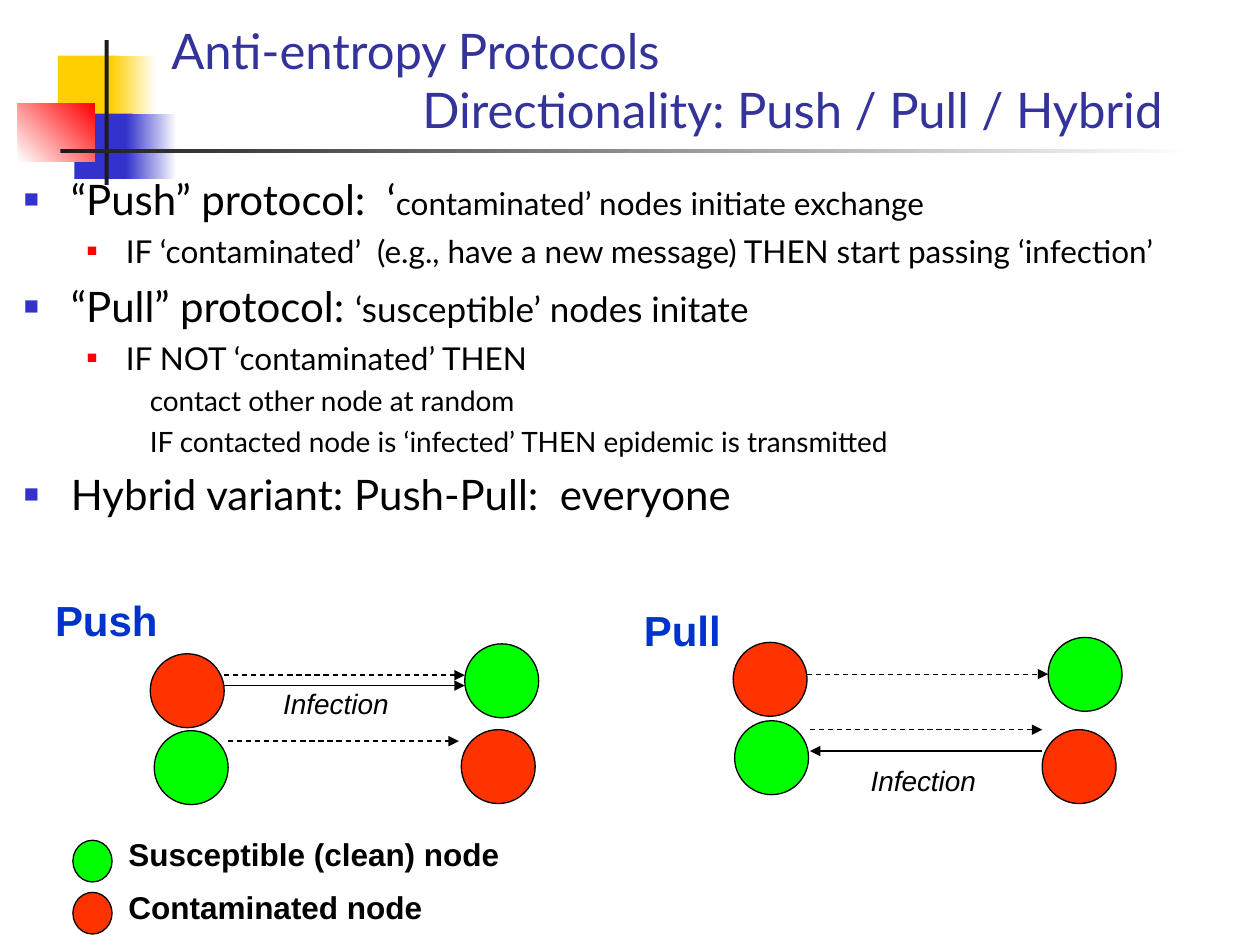
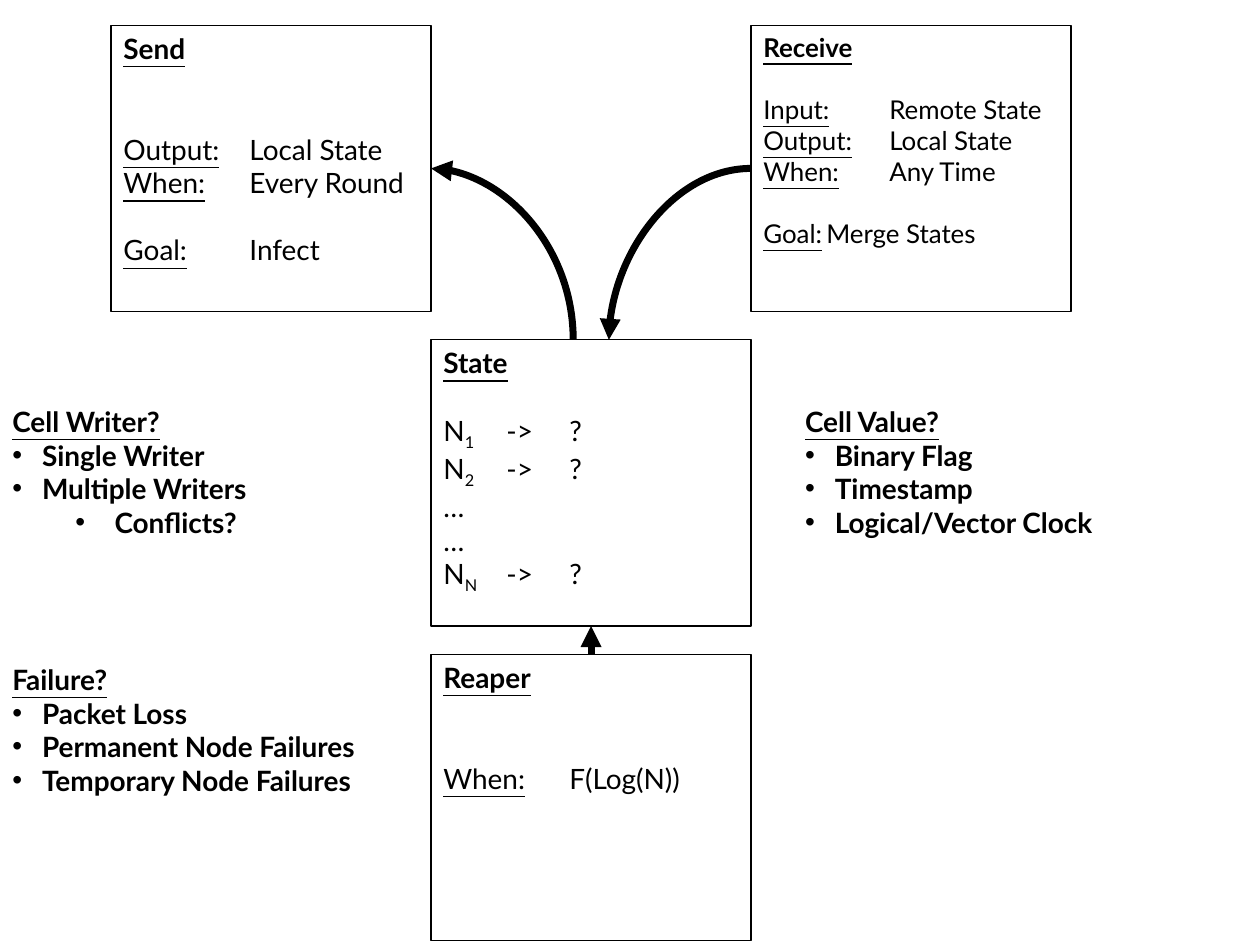
"""Build two slides on push and pull gossip protocols and their state model."""
from lxml import etree
from pptx import Presentation
from pptx import util as u
from pptx.dml.color import RGBColor
from pptx.enum import dml, shapes, text
from pptx.oxml.ns import qn

Cm, Pt = u.Cm, u.Pt
BLACK, WHITE, NAVY, BLUE = "000000", "FFFFFF", "333399", "0033CC"
YELLOW, INDIGO, RED, CHARCOAL = "FFCF01", "3333CC", "FF0000", "1C1C1C"
CLEAN, CONTAMINATED = "00FF00", "FF3300"
HEADING_FONT, DIAGRAM_FONT = "Lato", "Arial"

# Content: left, top, width, height in cm where four numbers are given
EMBLEM = [
    ((1.17, 1.12, 1.22, 1.32), [YELLOW], 0),
    ((2.24, 1.12, 0.91, 1.32), [YELLOW, WHITE], 0),
    ((1.5, 2.29, 1.17, 1.32), [INDIGO], 0),
    ((2.54, 2.29, 1.02, 1.32), [INDIGO, WHITE], 0),
    ((0.36, 2.08, 1.55, 1.17), [WHITE, RED], 45),
    ((2.11, 0.81, 0.08, 2.92), [CHARCOAL], 0),
    ((1.22, 3, 22.86, 0.08), [CHARCOAL, WHITE], 0),
]
TITLE = [("Anti-entropy Protocols", 0),
         ("Directionality: Push / Pull / Hybrid", 5.06)]
PROTOCOLS = [
    (0, [("“Push” protocol:  ‘", 24), ("contaminated’ nodes initiate exchange", 18)]),
    (1, [("IF ‘contaminated’  (e.g., have a new message) THEN start passing ‘infection’", 18)]),
    (0, [("“Pull” protocol: ", 24), ("‘susceptible’ nodes initate", 20)]),
    (1, [("IF NOT ‘contaminated’ THEN", 18)]),
    (2, [("contact other node at random", 16)]),
    (2, [("IF contacted node is ‘infected’ THEN epidemic is transmitted", 16)]),
    (0, [("Hybrid variant: Push-Pull:  everyone", 24)]),
]
LEVELS = [
    dict(margin=0.95, indent=-0.95, mark="■", color=INDIGO, percent=60, before=6),
    dict(margin=2.06, indent=-0.79, mark="■", color=RED, percent=55, before=4.5),
    dict(margin=2.54, indent=0, mark=None, color=None, percent=100, before=4),
]
NODES = [
    (3.03, 13.18, CONTAMINATED), (3.11, 14.73, CLEAN),
    (9.3, 14.71, CONTAMINATED), (9.37, 12.98, CLEAN),
    (14.78, 12.95, CONTAMINATED), (21.13, 12.85, CLEAN),
    (21.01, 14.71, CONTAMINATED), (14.81, 14.53, CLEAN),
]
MESSAGES = [
    (4.52, 9.37, 13.82, False), (4.52, 9.37, 13.61, True), (4.6, 9.25, 14.94, True),
    (16.26, 21.13, 13.59, True), (16.33, 21.01, 14.71, True), (21.01, 16.33, 15.14, False),
]
EXCHANGES = [("Push", 0.86, 11.86), ("Pull", 12.73, 12.07)]
INFECTIONS = [(5.46, 13.72), (17.3, 15.27)]
LEGEND = [("Susceptible (clean) node", CLEAN), ("Contaminated node", CONTAMINATED)]


def cell_row(index):
    """Return the runs of one row of the state vector."""
    return [("N", ""), (index, "sub"), ("\t->\t?", "")]


def field(label, value):
    """Return the runs of an underlined label and its value."""
    return [(label, "under"), ("\t" + value, "")]


COMPONENTS = [
    ("Send", 0, 0, 16, [(2, field("Output:", "Local State")), (0, field("When:", "Every Round")),
                        (1, field("Goal:", "Infect"))]),
    ("Receive", 2, 0, 14.8, [(1, field("Input:", "Remote State")), (0, field("Output:", "Local State")),
                             (0, field("When:", "Any Time")), (1, field("Goal:", "Merge States"))]),
    ("State", 1, 1, 16, [(1, cell_row("1")), (0, cell_row("2")), (0, [("…", "")]),
                         (0, [("…", "")]), (0, cell_row("N"))]),
    ("Reaper", 1, 2, 16, [(2, field("When:", "F(Log(N))"))]),
]
QUESTIONS = [
    ("Cell Value?", (15.98, 8.03, 7.54, 2.97),
     [(0, "Binary Flag"), (0, "Timestamp"), (0, "Logical/Vector Clock")]),
    ("Failure?", (0, 13.23, 8.69, 2.97),
     [(0, "Packet Loss"), (0, "Permanent Node Failures"), (0, "Temporary Node Failures")]),
    ("Cell Writer?", (0, 8.03, 7.54, 2.97),
     [(0, "Single Writer"), (0, "Multiple Writers"), (1, "Conflicts?")]),
]
QUESTION_INDENTS = [(0.6, -0.6), (2.06, -0.79)]
BOX_W, BOX_H, BOX_LEFT, BOX_TOP, ROW_STEP = 6.45, 5.77, 2.24, 0.51, 6.34


def rgb(code):
    """Turn a hex string into a colour."""
    return RGBColor.from_string(code)


def style(font, size=None, color=BLACK, name=HEADING_FONT, bold=None, italic=None, underline=None):
    """Apply the given look to a font."""
    font.name, font.bold, font.italic, font.underline = name, bold, italic, underline
    font.color.rgb = rgb(color)
    if size:
        font.size = Pt(size)


def add_shape(slide, kind, box, fills=(), line=None, angle=0):
    """Draw a preset shape with no fill, one colour or a two-colour gradient."""
    shape = slide.shapes.add_shape(kind, *map(Cm, box))
    shape.shadow.inherit = False
    if len(fills) == 2:
        shape.fill.gradient()
        shape.fill.gradient_angle = angle
        for stop, color in zip(shape.fill.gradient_stops, fills):
            stop.color.rgb = rgb(color)
    elif fills:
        shape.fill.solid()
        shape.fill.fore_color.rgb = rgb(fills[0])
    else:
        shape.fill.background()
    if line:
        shape.line.color.rgb, shape.line.width = rgb(line), Pt(0.75)
    else:
        shape.line.fill.background()
    return shape


def add_arrow(slide, start, end, width=0.75, dashed=False, curved=False, end_tag="a:tailEnd"):
    """Draw a black arrow; end_tag says which end carries the head."""
    kind = shapes.MSO_CONNECTOR.CURVE if curved else shapes.MSO_CONNECTOR.STRAIGHT
    arrow = slide.shapes.add_connector(kind, *map(Cm, start + end))
    arrow.line.color.rgb, arrow.line.width = rgb(BLACK), Pt(width)
    if dashed:
        arrow.line.dash_style = dml.MSO_LINE.DASH
    properties = arrow._element.spPr
    if curved:
        properties.find(qn("a:prstGeom")).set("prst", "curvedConnector2")
    etree.SubElement(properties.find(qn("a:ln")), qn(end_tag), type="triangle")
    etree.SubElement(properties, qn("a:effectLst"))


def add_text(slide, box):
    """Add a wrapping text box and return its frame."""
    frame = slide.shapes.add_textbox(*map(Cm, box)).text_frame
    frame.word_wrap = True
    return frame


def next_paragraph(frame, first):
    """Return the opening paragraph or append another."""
    return frame.paragraphs[0] if first else frame.add_paragraph()


def indent(paragraph, margin, hanging, mark=None, color=BLACK, percent=100):
    """Set the indents of a paragraph and its bullet, if any."""
    properties = paragraph._p.get_or_add_pPr()
    properties.set("marL", str(Cm(margin)))
    properties.set("indent", str(Cm(hanging)))
    if mark:
        tint = etree.SubElement(properties, qn("a:buClr"))
        etree.SubElement(tint, qn("a:srgbClr"), val=color)
        etree.SubElement(properties, qn("a:buSzPct"), val=str(percent * 1000))
        etree.SubElement(properties, qn("a:buFont"), typeface="Arial")
        etree.SubElement(properties, qn("a:buChar"), char=mark)
    else:
        etree.SubElement(properties, qn("a:buNone"))


def add_label(slide, words, box, size, **look):
    """Add a one-line label of the diagram."""
    paragraph = add_text(slide, box).paragraphs[0]
    paragraph.text = words
    style(paragraph.font, size, name=DIAGRAM_FONT, **look)


def add_title(slide):
    """Place the two-line title."""
    title = slide.shapes.title
    title.left, title.top, title.width, title.height = map(Cm, (3.2, 0.56, 21.64, 2.36))
    frame = title.text_frame
    frame.auto_size, frame.vertical_anchor = text.MSO_AUTO_SIZE.NONE, text.MSO_ANCHOR.BOTTOM
    for i, (words, margin) in enumerate(TITLE):
        paragraph = next_paragraph(frame, i == 0)
        paragraph.text, paragraph.alignment = words, text.PP_ALIGN.LEFT
        paragraph.space_before = Pt(0)
        indent(paragraph, margin, 0)
        style(paragraph.font, 28, NAVY)


def build_protocols(slide):
    """Fill the slide on push, pull and hybrid protocols."""
    oval = shapes.MSO_SHAPE.OVAL
    for box, fills, angle in EMBLEM:
        add_shape(slide, shapes.MSO_SHAPE.RECTANGLE, box, fills, angle=angle)
    add_title(slide)
    frame = add_text(slide, (0.23, 3.38, 25.15, 14.91))
    for i, (depth, parts) in enumerate(PROTOCOLS):
        level = LEVELS[depth]
        paragraph = next_paragraph(frame, i == 0)
        if i:
            paragraph.space_before = Pt(level["before"])
        indent(paragraph, level["margin"], level["indent"], level["mark"], level["color"], level["percent"])
        style(paragraph.font, parts[0][1])
        for words, size in parts:
            run = paragraph.add_run()
            run.text = words
            if size != parts[0][1]:
                run.font.size = Pt(size)
    for left, top, color in NODES:
        add_shape(slide, oval, (left, top, 1.49, 1.49), [color], BLACK)
    for start, end, y, dashed in MESSAGES:
        add_arrow(slide, (start, y), (end, y), dashed=dashed)
    for name, left, top in EXCHANGES:
        add_label(slide, name, (left, top, 6.55, 1.27), 24, color=BLUE, bold=True)
    for left, top in INFECTIONS:
        add_label(slide, "Infection", (left, top, 3.18, 0.94), 16, italic=True)
    for i, (meaning, color) in enumerate(LEGEND):
        add_shape(slide, oval, (1.47, 16.94 + 1.05 * i, 0.79, 0.84), [color], BLACK)
        add_label(slide, meaning, (2.34, 16.71 + 1.06 * i, 9.07, 1.02), 18, bold=True)


def add_component(slide, name, column, row, size, rows):
    """Draw one box of the state model with its heading and rows."""
    box = (BOX_LEFT + BOX_W * column, BOX_TOP + ROW_STEP * row, BOX_W, BOX_H)
    frame = add_shape(slide, shapes.MSO_SHAPE.RECTANGLE, box, line=BLACK).text_frame
    frame.vertical_anchor, frame.word_wrap = text.MSO_ANCHOR.TOP, True
    for i, (gap, parts) in enumerate([(0, [(name, "under")])] + rows):
        paragraph = next_paragraph(frame, i == 0)
        paragraph.alignment = text.PP_ALIGN.LEFT
        if gap:
            paragraph.space_before = Pt(round(gap * size * 1.2, 1))
        style(paragraph.font, size, bold=i == 0)
        for words, look in parts:
            run = paragraph.add_run()
            run.text = words
            if look == "under":
                run.font.underline = True
            elif look == "sub":
                run.font._element.set("baseline", "-25000")


def build_state_model(slide):
    """Fill the slide on the components around the shared state."""
    for component in COMPONENTS:
        add_component(slide, *component)
    for question, box, answers in QUESTIONS:
        frame = add_text(slide, box)
        heading = frame.paragraphs[0]
        heading.text = question
        style(heading.font, 16, bold=True, underline=True)
        for depth, answer in answers:
            paragraph = frame.add_paragraph()
            paragraph.text = answer
            indent(paragraph, *QUESTION_INDENTS[depth], "•")
            style(paragraph.font, 16, bold=True)
    state_left, state_top = BOX_LEFT + BOX_W, BOX_TOP + ROW_STEP
    center, side_y = state_left + BOX_W / 2, BOX_TOP + BOX_H / 2
    add_arrow(slide, (state_left, side_y), (center - 0.36, state_top), 4, curved=True, end_tag="a:headEnd")
    add_arrow(slide, (state_left + BOX_W, side_y), (center + 0.36, state_top), 4, curved=True)
    add_arrow(slide, (center, state_top + ROW_STEP), (center, state_top + BOX_H), 4)


def main():
    """Create the presentation and save it."""
    deck = Presentation()
    deck.slide_width, deck.slide_height = Cm(25.4), Cm(19.05)
    title_only, blank = deck.slide_layouts[5], deck.slide_layouts[6]
    build_protocols(deck.slides.add_slide(title_only))
    build_state_model(deck.slides.add_slide(blank))
    deck.save("out.pptx")


if __name__ == "__main__":
    main()
